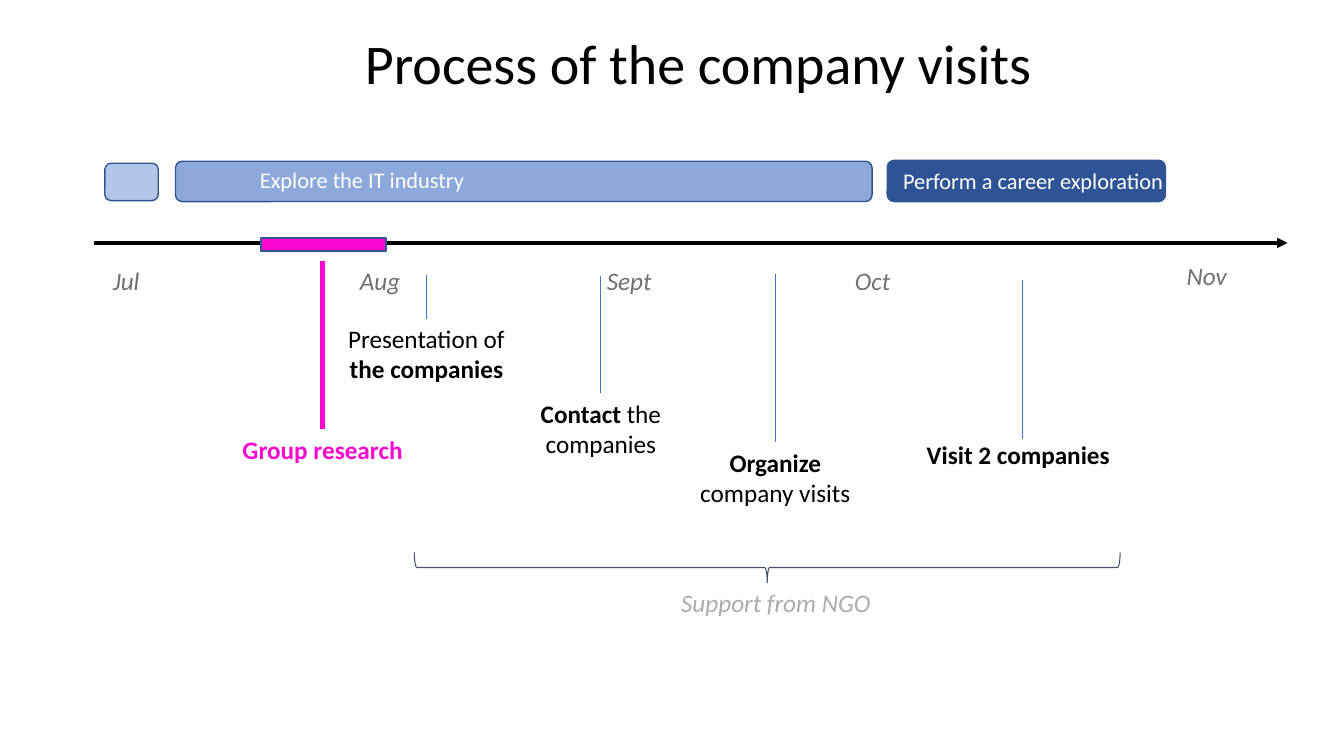
"""Builds a timeline slide on the process of the company visits."""
from pptx import Presentation, util as u
from pptx.dml.color import RGBColor
from pptx.enum import shapes, text
from pptx.oxml.ns import qn
from lxml import etree

PX = 9144
BLACK = RGBColor(0x00, 0x00, 0x00)
WHITE = RGBColor(0xFF, 0xFF, 0xFF)
GRAY = RGBColor(0x75, 0x70, 0x70)
PALE = RGBColor(0xAE, 0xAB, 0xAB)
PINK = RGBColor(0xF8, 0x08, 0xD0)
BLUE = RGBColor(0x44, 0x72, 0xC4)
SLATE = RGBColor(0x44, 0x54, 0x6A)
EDGE = RGBColor(0x31, 0x53, 0x8F)
LIGHT = RGBColor(0xB3, 0xC6, 0xE7)
MID = RGBColor(0x8D, 0xA9, 0xDB)
DARK = RGBColor(0x2F, 0x54, 0x96)
KIND = shapes.MSO_SHAPE
CENTER = text.PP_ALIGN.CENTER


def px(*sizes):
    return [u.Emu(size * PX) for size in sizes]


def write(frame, words, bold="", size=18, color=BLACK, italic=False,
          align=text.PP_ALIGN.LEFT):
    frame.word_wrap = True
    frame.vertical_anchor = text.MSO_ANCHOR.TOP
    para = frame.paragraphs[0]
    para.alignment = align
    parts = words.partition(bold) if bold else (words,)
    for part in filter(None, parts):
        run = para.add_run()
        run.text = part
        font = run.font
        font.name, font.size = "Calibri", u.Pt(size)
        font.bold, font.italic = part == bold, italic
        font.color.rgb = color


class Board:
    def __init__(self, deck):
        self.font = "Calibri"
        self.slide = deck.slides.add_slide(deck.slide_layouts[5])
        self.items = self.slide.shapes

    def title(self, box, words):
        head = self.items.title
        head.left, head.top, head.width, head.height = px(*box)
        head.text_frame.auto_size = text.MSO_AUTO_SIZE.NONE
        write(head.text_frame, words, size=40)

    def label(self, box, words, **style):
        item = self.items.add_textbox(*px(*box))
        write(item.text_frame, words, **style)
        item.text_frame.auto_size = text.MSO_AUTO_SIZE.SHAPE_TO_FIT_TEXT
        return item

    def shape(self, kind, box, fill=None, edge=EDGE, width=1):
        item = self.items.add_shape(kind, *px(*box))
        item.shadow.inherit = False
        if fill is None:
            item.fill.background()
        else:
            item.fill.solid()
            item.fill.fore_color.rgb = fill
        item.line.color.rgb = edge
        item.line.width = u.Pt(width)
        return item

    def line(self, ends, color, width, arrow=False):
        item = self.items.add_connector(shapes.MSO_CONNECTOR.STRAIGHT, *px(*ends))
        item.line.color.rgb = color
        item.line.width = u.Pt(width)
        props = item.line._get_or_add_ln()
        if arrow:
            etree.SubElement(props, qn("a:tailEnd"), type="triangle")
        etree.SubElement(props.getparent(), qn("a:effectLst"))
        return item

    def step(self, box, words, bold, start, color=BLACK, stem=BLUE, width=0.75):
        left, top, wide, _ = box
        note = self.label(box, words, bold=bold, color=color, align=CENTER)
        mid = left + wide // 2
        self.line((mid, start, mid, top), stem, width).end_connect(note, 0)


def main():
    deck = Presentation()
    deck.slide_width, deck.slide_height = px(1333, 750)
    board = Board(deck)
    board.title((352, 23, 688, 77), "Process of the company visits")

    board.line((93, 241, 1277, 241), BLACK, 2.5, arrow=True)
    months = [("Jul", 102, 258), ("Aug", 347, 258), ("Sept", 592, 258),
              ("Oct", 838, 258), ("Nov", 1167, 253)]
    for month, left, top in months:
        board.label((left, top, 161, 40), month, color=GRAY, italic=True)

    phases = [((104, 162, 53, 37), LIGHT), ((174, 160, 691, 40), MID),
              ((880, 159, 276, 41), DARK)]
    for box, fill in phases:
        board.shape(KIND.ROUNDED_RECTANGLE, box, fill)
    board.label((248, 160, 347, 37), "Explore the IT industry", size=16, color=WHITE)
    board.label((886, 161, 287, 37), "Perform a career exploration",
                size=16, color=WHITE)

    board.step((321, 316, 204, 71), "Presentation of the companies",
               "the companies", 273)
    board.step((471, 390, 250, 71), "Contact the companies", "Contact", 274)
    board.step((669, 439, 200, 71), "Organize company visits", "Organize", 272)
    board.label((885, 431, 250, 40), "Visit 2 companies",
                bold="Visit 2 companies", align=CENTER)
    board.line((1014, 278, 1014, 436), BLUE, 0.75)

    board.shape(KIND.RECTANGLE, (259, 236, 124, 13), PINK)
    board.step((220, 426, 200, 40), "Group research", "Group research", 259,
               color=PINK, stem=PINK, width=3.25)

    board.label((548, 578, 443, 40), "Support from NGO", color=PALE,
                italic=True, align=CENTER)
    brace = board.shape(KIND.LEFT_BRACE, (746, 213, 30, 700), edge=SLATE, width=0.75)
    brace.rotation = 270
    deck.save("out.pptx")


if __name__ == "__main__":
    main()
